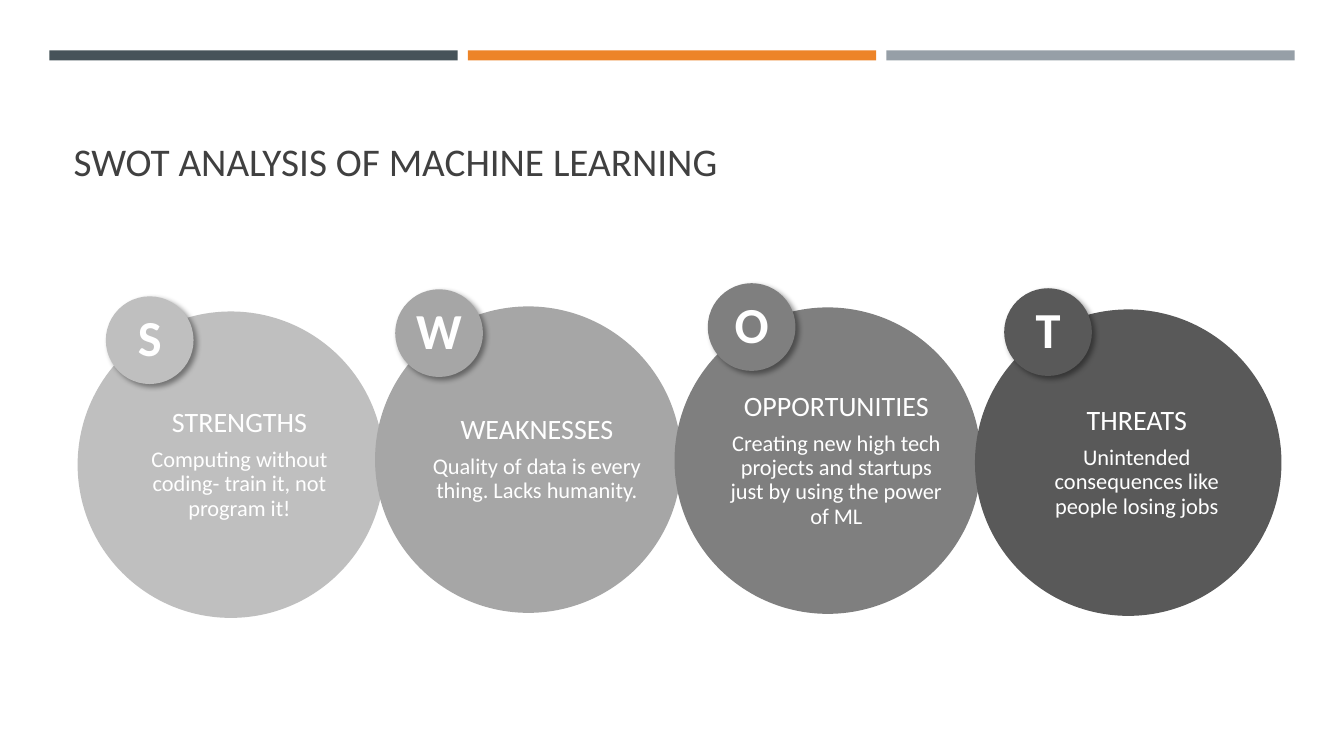
from dataclasses import dataclass
from typing import Any

from lxml.etree import SubElement
from pptx import Presentation
from pptx.dml.color import RGBColor
from pptx.enum.shapes import MSO_SHAPE
from pptx.enum.text import MSO_ANCHOR, PP_ALIGN
from pptx.oxml.ns import qn
from pptx.util import Inches, Pt

FONT = "Calibri"
WHITE = "FFFFFF"
CIRCLE_SIZE = 3.04
BADGE_SIZE = 0.87
BODY_OFFSET = 0.48
BODY_WIDTH = 2.55
BAR_LEFT, BAR_PITCH = 0.49, 4.15
BAR_COLORS = ("465359", "ED8428", "969FA7")


@dataclass
class Quadrant:
    heading: str
    body: str
    color: str
    circle: tuple[float, float]
    badge: tuple[float, float]


QUADRANTS = (
    Quadrant("STRENGTHS", "Computing without coding- train it, not program it!",
             "BFBFBF", (0.77, 3.09), (1.05, 2.94)),
    Quadrant("WEAKNESSES", "Quality of data is every thing. Lacks humanity.",
             "A6A6A6", (3.72, 3.04), (3.92, 2.87)),
    Quadrant("OPPORTUNITIES",
             "Creating new high tech projects and startups just by using the power of ML",
             "7F7F7F", (6.69, 3.05), (7.02, 2.81)),
    Quadrant("THREATS", "Unintended consequences like people losing jobs",
             "595959", (9.67, 3.07), (9.96, 2.86)),
)


def rgb(color: str) -> RGBColor:
    return RGBColor.from_string(color)


def set_all(target: Any, values: dict[str, Any]) -> None:
    for name, value in values.items():
        setattr(target, name, value)


def write(paragraph: Any, text: str, size: float, color: str = WHITE,
          bold: bool = False) -> None:
    paragraph.text = text
    set_all(paragraph.font, {"name": FONT, "size": Pt(size), "bold": bold})
    paragraph.font.color.rgb = rgb(color)


def write_centred(paragraph: Any, text: str, size: float, bold: bool = False) -> None:
    set_all(paragraph, {"alignment": PP_ALIGN.CENTER, "line_spacing": 0.9})
    write(paragraph, text, size, bold=bold)


def add_filled(slide: Any, kind: MSO_SHAPE, left: float, top: float,
               width: float, height: float, color: str) -> Any:
    shape = slide.shapes.add_shape(
        kind, Inches(left), Inches(top), Inches(width), Inches(height))
    shape.shadow.inherit = False
    shape.fill.solid()
    shape.fill.fore_color.rgb = rgb(color)
    shape.line.fill.background()
    return shape


def cast_shadow(shape: Any) -> None:
    """Give the shape a soft black shadow towards the lower right."""
    effects = shape.element.spPr.find(qn("a:effectLst"))
    shadow = SubElement(effects, qn("a:outerShdw"), blurRad=str(Pt(4)),
                        dist=str(Pt(3)), dir="2700000", algn="tl", rotWithShape="0")
    black = SubElement(shadow, qn("a:srgbClr"), val="000000")
    SubElement(black, qn("a:alpha"), val="40000")


def format_frame(frame: Any, right: float = 0, vertical: float = 0) -> None:
    set_all(frame, {
        "word_wrap": True,
        "vertical_anchor": MSO_ANCHOR.MIDDLE,
        "margin_left": 0,
        "margin_right": Inches(right),
        "margin_top": Inches(vertical),
        "margin_bottom": Inches(vertical),
    })


def add_quadrant(slide: Any, quadrant: Quadrant) -> None:
    left, top = quadrant.circle
    add_filled(slide, MSO_SHAPE.OVAL, left, top, CIRCLE_SIZE, CIRCLE_SIZE, quadrant.color)

    description = slide.shapes.add_textbox(
        Inches(left + BODY_OFFSET), Inches(top), Inches(BODY_WIDTH), Inches(CIRCLE_SIZE))
    frame = description.text_frame
    format_frame(frame, right=0.3, vertical=0.16)
    heading = frame.paragraphs[0]
    write_centred(heading, quadrant.heading, 20)
    heading.space_after = Pt(7)
    write_centred(frame.add_paragraph(), quadrant.body, 16)

    badge = add_filled(slide, MSO_SHAPE.OVAL, *quadrant.badge,
                       BADGE_SIZE, BADGE_SIZE, quadrant.color)
    cast_shadow(badge)
    format_frame(badge.text_frame)
    write_centred(badge.text_frame.paragraphs[0], quadrant.heading[0], 36, bold=True)


def add_title(slide: Any, text: str) -> None:
    title = slide.shapes.title
    set_all(title, {"left": Inches(0.63), "top": Inches(0.8),
                    "width": Inches(12.06), "height": Inches(1.08)})
    title.text_frame.vertical_anchor = MSO_ANCHOR.BOTTOM
    paragraph = title.text_frame.paragraphs[0]
    paragraph.alignment = PP_ALIGN.LEFT
    write(paragraph, text, 28, "404040")


def main() -> None:
    deck = Presentation()
    set_all(deck, {"slide_width": Inches(13.33), "slide_height": Inches(7.5)})
    slide = deck.slides.add_slide(deck.slide_layouts.get_by_name("Title Only"))
    for index, color in enumerate(BAR_COLORS):
        add_filled(slide, MSO_SHAPE.RECTANGLE, BAR_LEFT + index * BAR_PITCH, 0.5,
                   4.05, 0.1, color)
    add_title(slide, "SWOT ANALYSIS OF MACHINE LEARNING")
    for quadrant in QUADRANTS:
        add_quadrant(slide, quadrant)
    deck.save("out.pptx")


if __name__ == "__main__":
    main()
